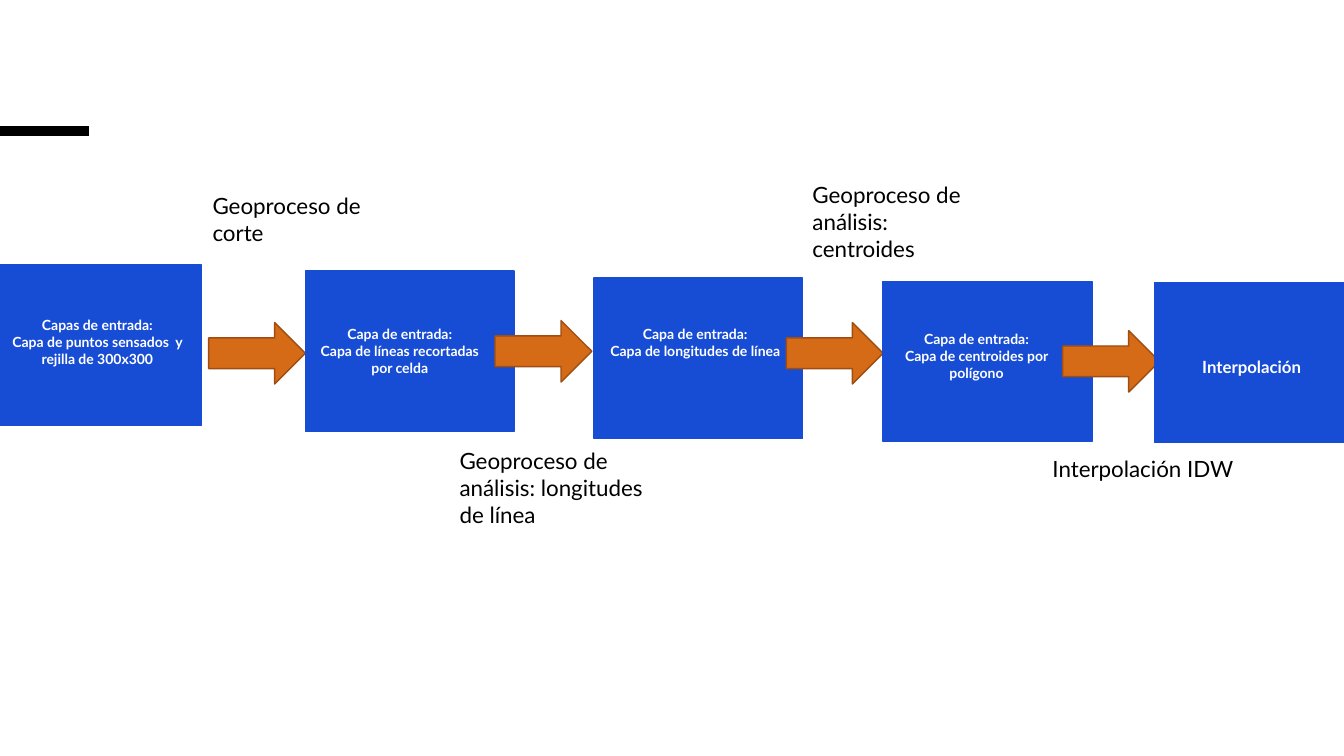
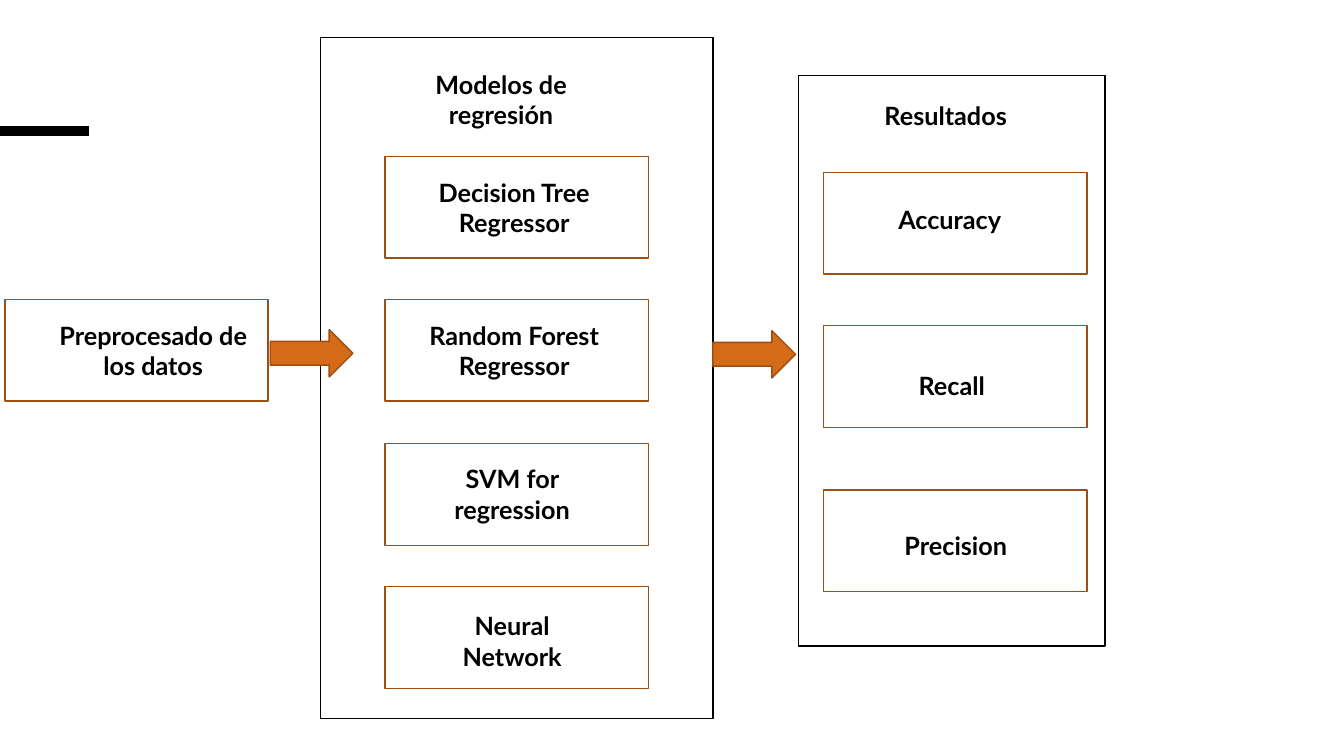
from dataclasses import dataclass

from lxml import etree
from pptx import Presentation
from pptx.dml.color import RGBColor
from pptx.enum.shapes import MSO_CONNECTOR, MSO_SHAPE
from pptx.enum.text import PP_ALIGN
from pptx.oxml.ns import qn
from pptx.util import Pt

PX = 9144
RECT = MSO_SHAPE.RECTANGLE
ARROW = MSO_SHAPE.RIGHT_ARROW
STRAIGHT = MSO_CONNECTOR.STRAIGHT
LEFT, CENTER = PP_ALIGN.LEFT, PP_ALIGN.CENTER


@dataclass(frozen=True)
class Theme:
    font: str = "Lato"
    black: str = "000000"
    white: str = "FFFFFF"
    blue: str = "174CD5"
    orange: str = "D56A17"
    brown: str = "9E4E11"
    small: int = 10
    medium: int = 12
    caption: int = 16
    heading: int = 18
    outline: float = 1
    bar: float = 6.75


class Deck:
    def __init__(self, theme):
        self.theme = theme
        self.prs = Presentation()
        self.prs.slide_width, self.prs.slide_height = 1333 * PX, 750 * PX
        self.s = None

    def slide(self):
        self.s = self.prs.slides.add_slide(self.prs.slide_layouts[6])
        bar = self.s.shapes.add_connector(STRAIGHT, 0, 130 * PX, 88 * PX, 130 * PX)
        bar.line.color.rgb = RGBColor.from_string(self.theme.black)
        bar.line.width = Pt(self.theme.bar)
        etree.SubElement(bar._element.spPr, qn("a:effectLst"))

    def shape(self, kind, x, y, w, h, line, fill=None):
        sp = self.s.shapes.add_shape(kind, x * PX, y * PX, w * PX, h * PX)
        sp.shadow.inherit = False
        if fill:
            sp.fill.solid()
            sp.fill.fore_color.rgb = RGBColor.from_string(fill)
        else:
            sp.fill.background()
        sp.line.color.rgb = RGBColor.from_string(line)
        sp.line.width = Pt(self.theme.outline)

    def stage(self, x, y):
        self.shape(RECT, x, y, 207, 159, self.theme.blue, self.theme.blue)

    def card(self, x, y):
        self.shape(RECT, x, y, 261, 101, self.theme.brown, self.theme.white)

    def frame(self, x, y, w, h):
        self.shape(RECT, x, y, w, h, self.theme.black)

    def arrow(self, x, y, w, h):
        self.shape(ARROW, x, y, w, h, self.theme.brown, self.theme.orange)

    def text(self, x, y, w, h, lines, size, color, bold=True, align=CENTER):
        box = self.s.shapes.add_textbox(x * PX, y * PX, w * PX, h * PX)
        tf = box.text_frame
        tf.word_wrap = True
        for i, line in enumerate(lines):
            p = tf.paragraphs[0] if i == 0 else tf.add_paragraph()
            p.text = line
            p.alignment = align
            p.font.name = self.theme.font
            p.font.size = Pt(size)
            p.font.bold = bold
            p.font.color.rgb = RGBColor.from_string(color)

    def stage_label(self, x, y, w, lines, size):
        self.text(x, y, w, 61, lines, size, self.theme.white)

    def caption(self, x, y, w, h, line):
        self.text(x, y, w, h, [line], self.theme.caption, self.theme.black, False, LEFT)

    def heading(self, x, y, *lines):
        self.text(x, y, 230, 71, lines, self.theme.heading, self.theme.black)


def geoprocess_slide(deck):
    small, medium = deck.theme.small, deck.theme.medium
    stages = [
        ((-7, 263), (-8, 309, 209), small,
         ["Capas de entrada:", "Capa de puntos sensados  y rejilla de 300x300"]),
        ((303, 269), (296, 318, 201), small,
         ["Capa de entrada:", "Capa de líneas recortadas", "por celda"]),
        ((589, 276), (589, 318, 201), small,
         ["Capa de entrada:", "Capa de longitudes de línea"]),
        ((876, 279), (868, 323, 201), small,
         ["Capa de entrada:", "Capa de centroides por polígono"]),
        ((1145, 280), (1141, 349, 201), medium, ["Interpolación"]),
    ]
    arrows = [(207, 320), (491, 318), (780, 320), (1054, 328)]
    captions = [
        (201, 186, 168, 64, "Geoproceso de corte"),
        (446, 439, 221, 91, "Geoproceso de análisis: longitudes de línea"),
        (796, 175, 201, 91, "Geoproceso de análisis: centroides"),
        (1034, 447, 201, 64, "Interpolación IDW"),
    ]
    deck.slide()
    for i, (box, label, size, lines) in enumerate(stages):
        deck.stage(*box)
        deck.stage_label(*label, lines, size)
        if i < len(arrows):
            deck.arrow(*arrows[i], 96, 61)
    for caption in captions:
        deck.caption(*caption)


def models_slide(deck):
    models = [
        (395, 16, ["Decision Tree Regressor"]),
        (395, 16, ["Random Forest Regressor"]),
        (393, 15, ["SVM for regression"]),
        (393, 19, ["Neural", "Network"]),
    ]
    results = [
        (171, 827, 198, "Accuracy"),
        (323, 829, 362, "Recall"),
        (486, 833, 521, "Precision"),
    ]
    deck.slide()
    deck.card(5, 297)
    deck.heading(37, 313, "Preprocesado de los datos")

    deck.frame(318, 37, 389, 676)
    deck.heading(382, 64, "Modelos de regresión")
    for i, (x, drop, lines) in enumerate(models):
        y = round(155 + i * 142.4)
        deck.card(382, y)
        deck.heading(x, y + drop, *lines)

    deck.frame(792, 75, 304, 566)
    deck.heading(823, 95, "Resultados")
    for card_y, x, y, name in results:
        deck.card(817, card_y)
        deck.heading(x, y, name)

    deck.arrow(268, 327, 82, 47)
    deck.arrow(707, 328, 82, 47)


def main():
    deck = Deck(Theme())
    geoprocess_slide(deck)
    models_slide(deck)
    deck.prs.save("out.pptx")


if __name__ == "__main__":
    main()
